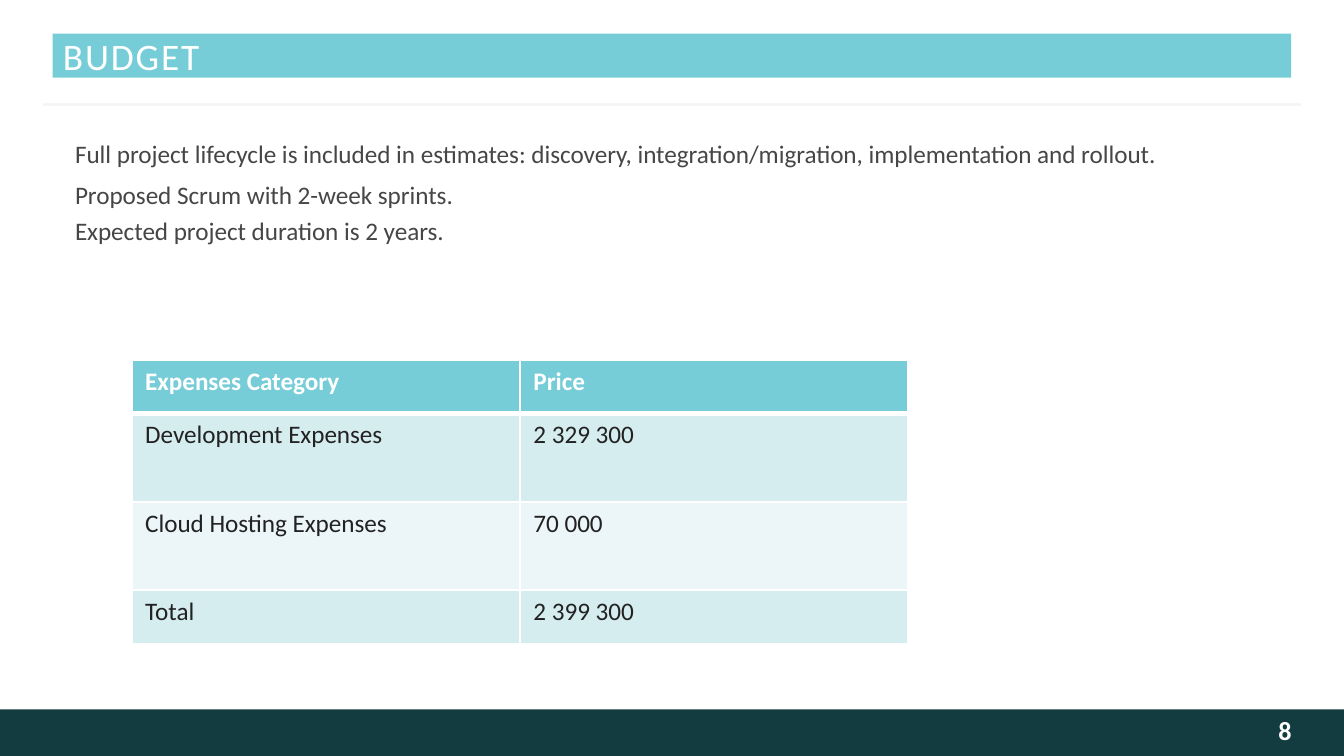
from dataclasses import dataclass

from lxml.etree import SubElement
from pptx import Presentation
from pptx.dml.color import RGBColor
from pptx.enum.shapes import MSO_CONNECTOR as Connector, MSO_SHAPE as Shape
from pptx.enum.text import MSO_ANCHOR as Anchor, PP_ALIGN as Align
from pptx.oxml.ns import qn
from pptx.util import Pt


@dataclass(frozen=True)
class Theme:
    """Colours and type sizes of the slide."""
    font: str = "Calibri"
    accent: str = "76CDD8"
    dark: str = "133C41"
    rule: str = "F5F5F5"
    white: str = "FFFFFF"
    page: str = "FEFEFE"
    body: str = "464547"
    cell: str = "222222"
    bands: tuple = ("D6EDF0", "ECF6F8")
    title_size: float = 20
    page_size: float = 14
    body_size: float = 13.5


THEME = Theme()


def points(*lengths):
    """Turn numbers into lengths in points."""
    return [Pt(length) for length in lengths]


def add_run(paragraph, text, size, color, bold=False):
    """Append a styled run to a paragraph."""
    run = paragraph.add_run()
    run.text = text
    font = run.font
    font.name, font.size, font.bold = THEME.font, Pt(size), bold
    font.color.rgb = RGBColor.from_string(color)
    return run


def set_frame(frame, margins, anchor=Anchor.TOP, wrap=True):
    """Set left, top, right and bottom margins, anchor and wrapping."""
    (frame.margin_left, frame.margin_top,
     frame.margin_right, frame.margin_bottom) = points(*margins)
    frame.vertical_anchor, frame.word_wrap = anchor, wrap


def add_band(slide, box, color):
    """Draw a plain filled rectangle."""
    band = slide.shapes.add_shape(Shape.RECTANGLE, *points(*box))
    band.shadow.inherit = False
    band.fill.solid()
    band.fill.fore_color.rgb = RGBColor.from_string(color)
    band.line.fill.background()
    return band


def add_footer(slide, box, number):
    """Draw the bottom band with the page number at its right."""
    left, top, width, height = box
    add_band(slide, box, THEME.dark)
    number_width, right_gap = 108, 28
    number_left = left + width - right_gap - number_width
    label = slide.shapes.add_textbox(*points(number_left, top, number_width, height))
    set_frame(label.text_frame, (7.2, 3.6, 0, 6.5), Anchor.MIDDLE)
    paragraph = label.text_frame.paragraphs[0]
    paragraph.alignment = Align.RIGHT
    add_run(paragraph, number, THEME.page_size, THEME.page, bold=True)


def add_header(slide, box, title):
    """Draw the title band and the thin rule below it."""
    left, top, width, height = box
    band = add_band(slide, box, THEME.accent)
    set_frame(band.text_frame, (5.5, 3.6, 0, 3.6), Anchor.MIDDLE, wrap=False)
    paragraph = band.text_frame.paragraphs[0]
    paragraph.alignment = Align.LEFT
    run = add_run(paragraph, title, THEME.title_size, THEME.white)
    run._r.get_or_add_rPr().set("spc", "100")

    overhang, rule_top = 5, top + height + 14.4
    rule = slide.shapes.add_connector(
        Connector.STRAIGHT,
        *points(left - overhang, rule_top, left + width + overhang, rule_top))
    rule.line.color.rgb = RGBColor.from_string(THEME.rule)
    rule.line.width = Pt(1.5)
    SubElement(rule._element.spPr, qn("a:effectLst"))


def add_notes_text(slide, box, lines):
    """Write the introductory lines, given as (text, spacing) pairs."""
    frame = slide.shapes.add_textbox(*points(*box)).text_frame
    set_frame(frame, (7.2, 3.6, 7.2, 3.6))
    for index, (text, spacing) in enumerate(lines):
        paragraph = frame.add_paragraph() if index else frame.paragraphs[0]
        paragraph.space_before = paragraph.space_after = Pt(spacing)
        add_run(paragraph, text, THEME.body_size, THEME.body)


def set_borders(cell, widths):
    """Give a cell white borders; widths are left, right, top, bottom."""
    properties = cell._tc.get_or_add_tcPr()
    for index, (side, width) in enumerate(zip("LRTB", widths)):
        line = SubElement(properties, qn(f"a:ln{side}"), w=str(Pt(width)))
        fill = SubElement(line, qn("a:solidFill"))
        SubElement(fill, qn("a:srgbClr"), val=THEME.white)
        properties.insert(index, line)


def add_budget_table(slide, box, rows, row_heights):
    """Build the price table with a header row and banded body rows."""
    columns = len(rows[0])
    table = slide.shapes.add_table(len(rows), columns, *points(*box)).table
    for column in table.columns:
        column.width = Pt(box[2] / columns)
    for row_index, (texts, height) in enumerate(zip(rows, row_heights)):
        header = row_index == 0
        table.rows[row_index].height = Pt(height)
        fill = THEME.accent if header else THEME.bands[(row_index - 1) % 2]
        top = 3 if row_index == 1 else 1
        bottom = 3 if header else 1
        for column_index, text in enumerate(texts):
            cell = table.cell(row_index, column_index)
            cell.fill.solid()
            cell.fill.fore_color.rgb = RGBColor.from_string(fill)
            set_borders(cell, (1, 1, top, bottom))
            add_run(cell.text_frame.paragraphs[0], text, THEME.body_size,
                    THEME.white if header else THEME.cell, bold=header)


def build_budget_slide(presentation):
    """Place all regions of the budget slide."""
    slide = presentation.slides.add_slide(presentation.slide_layouts[6])
    add_footer(slide, (0, 380, 720, 25), "8")
    add_header(slide, (28.2, 18, 663.6, 23.7), "BUDGET")
    add_notes_text(slide, (33.1, 70.6, 596.2, 84.2), [
        ("Full project lifecycle is included in estimates: discovery, "
         "integration/migration, implementation and rollout.", 3),
        ("Proposed Scrum with 2-week sprints.", 3),
        ("Expected project duration is 2 years.", 0),
    ])
    add_budget_table(slide, (70.6, 192.8, 416, 152), [
        ("Expenses Category", "Price"),
        ("Development Expenses", "2 329 300"),
        ("Cloud Hosting Expenses", "70 000"),
        ("Total", "2 399 300"),
    ], (28.6, 47.4, 47.4, 28.6))


def main():
    """Create and save the presentation."""
    presentation = Presentation()
    presentation.slide_width, presentation.slide_height = points(720, 405)
    build_budget_slide(presentation)
    presentation.save("out.pptx")


main()
